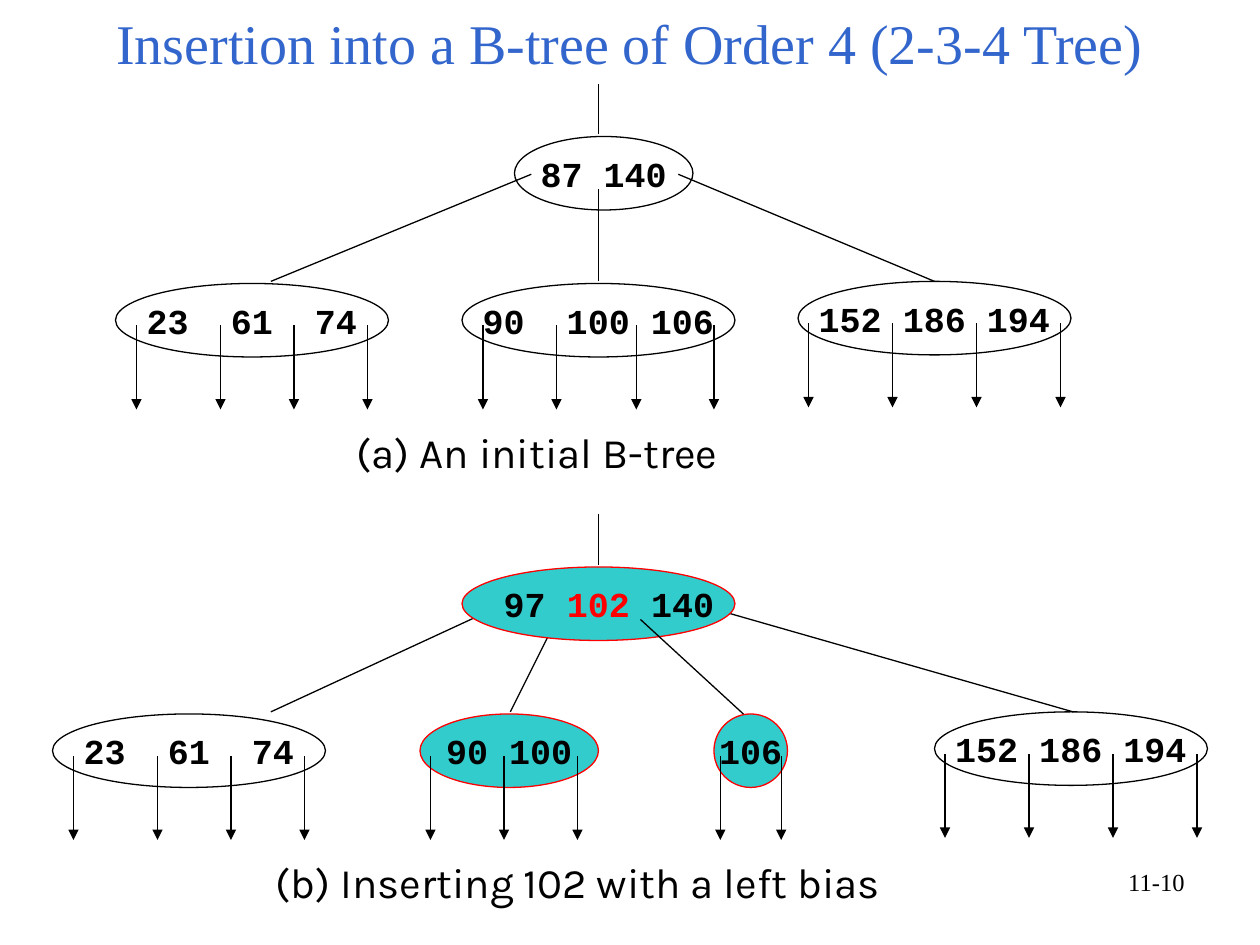
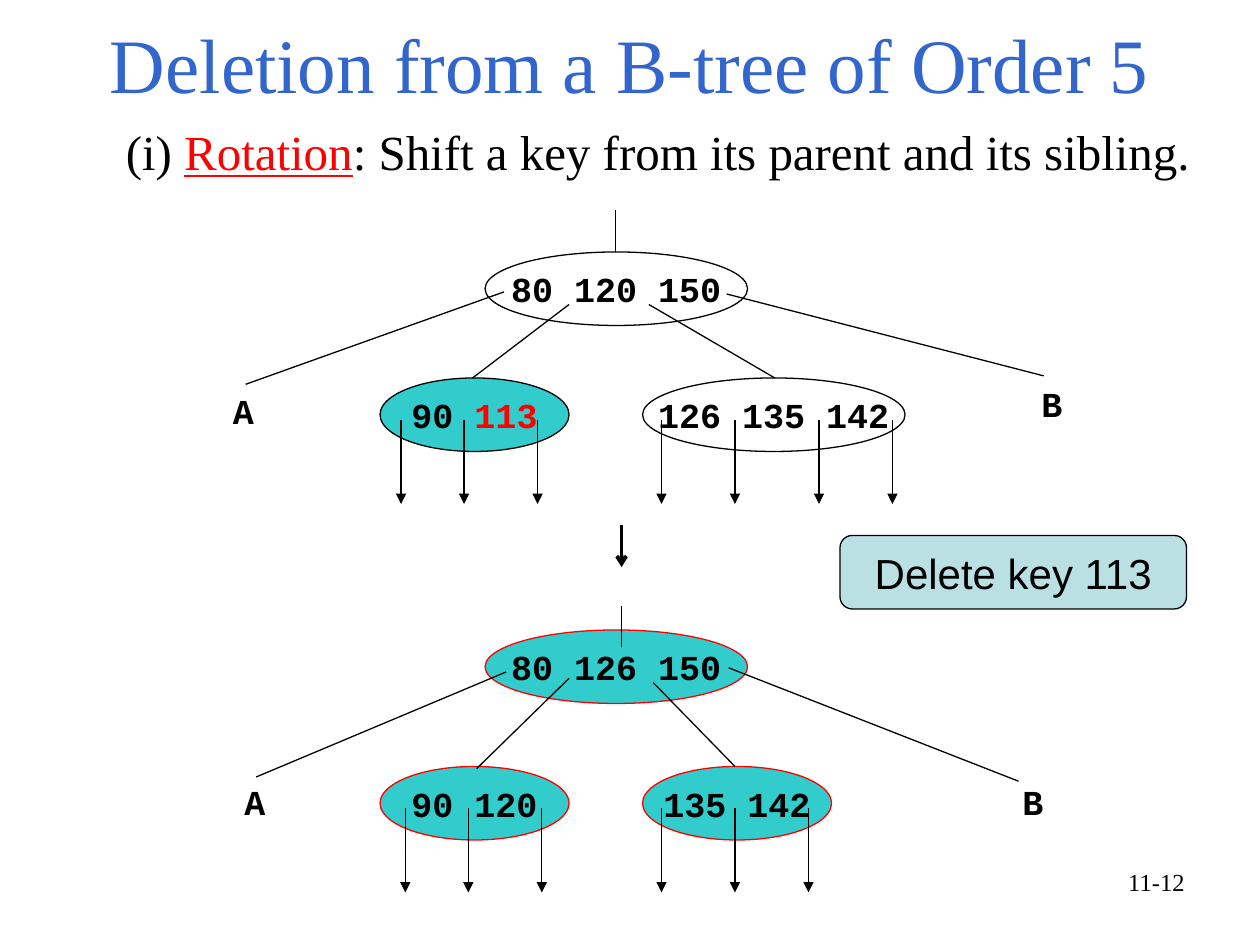
from lxml import etree
from pptx import Presentation
from pptx.dml.color import RGBColor
from pptx.enum.shapes import MSO_CONNECTOR, MSO_SHAPE
from pptx.enum.text import MSO_ANCHOR, PP_ALIGN
from pptx.oxml.ns import qn
from pptx.util import Inches, Pt

ELLIPSE, ROUNDED = MSO_SHAPE.OVAL, MSO_SHAPE.FLOWCHART_ALTERNATE_PROCESS
STRAIGHT = MSO_CONNECTOR.STRAIGHT
TOP, MIDDLE = MSO_ANCHOR.TOP, MSO_ANCHOR.MIDDLE
LEFT, CENTER, RIGHT = PP_ALIGN.LEFT, PP_ALIGN.CENTER, PP_ALIGN.RIGHT

WIDTH, HEIGHT = 10, 7.5
COLUMNS = 120
CELL = WIDTH / COLUMNS
NODE_HEIGHT, POINTER_START, POINTER_END = 7, 4, 12

BLACK, RED, BLUE, TEAL, PALE = "000000", "FF0000", "3366CC", "33CCCC", "BBE0E3"
PLAIN, CHANGED, TOUCHED = (None, BLACK), (TEAL, RED), (TEAL, BLACK)

SERIF, MONO, SANS = "Times New Roman", "Courier New", "Arial"
TITLE = dict(font=SERIF, color=BLUE, align=CENTER)
KEY = dict(font=MONO, size=20, bold=True)
CAPTION = dict(font="Karla", size=24, wrap=False)
LABEL = dict(KEY, wrap=False)
BODY = dict(font=SERIF, size=28, before=7, underline=True)
PAGE_NUMBER = dict(font=SERIF, size=14, align=RIGHT)
PAGE_NUMBER_BOX = (86, 82, 28, 6.2)

# node: keys, left, top, width, look, pointer columns; edge: from x, y, to x, y
INITIAL_TREE = dict(
    edges_behind=[(57, 12.8, 57, 8)],
    nodes=[
        ("87 140", 49, 13, 17, PLAIN, []),
        ("23  61  74", 11, 27, 26, PLAIN, [13, 21, 28, 35]),
        ("90  100 106", 44, 27, 26, PLAIN, [46, 53, 60.6, 68]),
        ("152 186 194", 76, 26.8, 26, PLAIN, [77, 85, 93, 101]),
    ],
    edges=[(57, 26.8, 57, 18), (50.6, 16.6, 25.8, 26.8), (64.6, 16.6, 89, 26.8)],
)
INSERTED_TREE = dict(
    edges_behind=[(57, 53.8, 57, 49), (48.6, 67.8, 53, 59),
                  (47, 58, 25.8, 67.8), (68, 58, 102.2, 67.8)],
    nodes=[
        (" 97 *102* 140", 44, 54, 26, CHANGED, []),
        ("23  61  74", 5, 68, 26, PLAIN, [7, 15, 22, 29]),
        ("90 100", 40, 68, 17, CHANGED, [41, 48, 55]),
        ("106", 68, 68, 7, CHANGED, [68.6, 74.4]),
        ("152 186 194", 89, 67.8, 26, PLAIN, [90, 98, 106, 114]),
    ],
    edges=[(61, 59, 70.8, 68)],
)
BEFORE_ROTATION = dict(
    edges_behind=[],
    nodes=[
        ("80 120 150", 46.2, 24, 25, PLAIN, []),
        ("90 *113*", 36.2, 36, 18, TOUCHED, [38.2, 44.2, 51.2]),
        ("126 135 142", 61.2, 36, 25, PLAIN, [63, 70, 78, 85]),
    ],
    edges=[(58.6, 24, 58.6, 20), (54.2, 29, 45, 36), (61.8, 29, 73.8, 36),
           (48, 27.8, 23.4, 36.6), (69.2, 28, 99.4, 35.8)],
)
AFTER_ROTATION = dict(
    edges_behind=[],
    nodes=[
        ("80 126 150", 46.2, 60, 25, CHANGED, []),
        ("90 120", 36.2, 73, 18, CHANGED, [38.6, 44.6, 51.6]),
        ("135 142", 61.2, 73, 18, CHANGED, [63, 70, 77]),
    ],
    edges=[(59.2, 61.6, 59.2, 57.7), (54.2, 64.6, 45.4, 73.2), (62.2, 65, 70, 73),
           (48.2, 64, 24.4, 74), (69.4, 63.6, 97, 74.4)],
)

SLIDES = [
    dict(
        trees=[INITIAL_TREE, INSERTED_TREE],
        texts=[
            ("Insertion into a B-tree of Order 4 (2-3-4 Tree)", (6, 0.2, 108, 10.2),
             dict(TITLE, size=32)),
            ("(a) An initial B-tree", (32.8, 40, 37, 6), CAPTION),
            ("(b) Inserting 102 with a left bias", (25.1, 81, 61.4, 6), CAPTION),
        ],
        buttons=[], steps=[], page="11-10",
    ),
    dict(
        trees=[BEFORE_ROTATION, AFTER_ROTATION],
        texts=[
            ("Deletion from a B-tree of Order 5", (6, 1, 108, 10),
             dict(TITLE, size=44, anchor=MIDDLE)),
            ("(i) *Rotation*: Shift a key from its parent and its sibling.",
             (10.8, 11, 104, 8), BODY),
            ("A", (21, 36.5, 4.3, 5.3), LABEL),
            ("B", (98, 35.8, 4.3, 5.3), LABEL),
            ("A", (22.1, 73.7, 4.3, 5.3), LABEL),
            ("B", (96.2, 73.7, 4.3, 5.3), LABEL),
        ],
        buttons=[("Delete key 113", (80, 51, 33, 7))],
        steps=[(59.2, 50, 59.2, 54)], page="11-12",
    ),
]


def rgb(value):
    return RGBColor.from_string(value)


def place(*cells):
    return [Inches(cell * CELL) for cell in cells]


def write(shape, text, font, size, color=BLACK, bold=False, align=LEFT,
          anchor=TOP, wrap=True, before=0, underline=False):
    frame = shape.text_frame
    frame.word_wrap = wrap
    frame.vertical_anchor = anchor
    paragraph = frame.paragraphs[0]
    paragraph.alignment = align
    paragraph.space_before = Pt(before)
    paragraph.font.name = font
    paragraph.font.size = Pt(size)
    paragraph.font.bold = bold
    for index, part in enumerate(text.split("*")):
        if part:
            accent = index % 2 == 1
            run = paragraph.add_run()
            run.text = part
            run.font.color.rgb = rgb(RED if accent else color)
            run.font.underline = accent and underline


def add_text(slide, text, box, style):
    write(slide.shapes.add_textbox(*place(*box)), text, **style)


def add_box(slide, kind, box, look, text, style):
    fill, outline = look
    shape = slide.shapes.add_shape(kind, *place(*box))
    shape.shadow.inherit = False
    if fill:
        shape.fill.solid()
        shape.fill.fore_color.rgb = rgb(fill)
    else:
        shape.fill.background()
    shape.line.color.rgb = rgb(outline)
    shape.line.width = Pt(0.75)
    write(shape, text, align=CENTER, anchor=MIDDLE, wrap=False, **style)


def add_line(slide, ends, head=None, width=0.75):
    connector = slide.shapes.add_connector(STRAIGHT, *place(*ends))
    connector.line.color.rgb = rgb(BLACK)
    connector.line.width = Pt(width)
    if head:
        etree.SubElement(connector.line._get_or_add_ln(), qn("a:tailEnd"), type=head)
    etree.SubElement(connector._element.spPr, qn("a:effectLst"))


def add_tree(slide, tree):
    for edge in tree["edges_behind"]:
        add_line(slide, edge)
    for keys, left, top, width, look, pointers in tree["nodes"]:
        add_box(slide, ELLIPSE, (left, top, width, NODE_HEIGHT), look, keys, KEY)
        for column in pointers:
            add_line(slide, (column, top + POINTER_START, column, top + POINTER_END),
                     "triangle")
    for edge in tree["edges"]:
        add_line(slide, edge)


def build_slide(presentation, content):
    slide = presentation.slides.add_slide(presentation.slide_layouts[6])
    for tree in content["trees"]:
        add_tree(slide, tree)
    for text, box, style in content["texts"]:
        add_text(slide, text, box, style)
    for text, box in content["buttons"]:
        add_box(slide, ROUNDED, box, (PALE, BLACK), text, dict(font=SANS, size=24))
    for step in content["steps"]:
        add_line(slide, step, "arrow", 2)
    add_text(slide, content["page"], PAGE_NUMBER_BOX, PAGE_NUMBER)


def main():
    presentation = Presentation()
    presentation.slide_width = Inches(WIDTH)
    presentation.slide_height = Inches(HEIGHT)
    for content in SLIDES:
        build_slide(presentation, content)
    presentation.save("out.pptx")


if __name__ == "__main__":
    main()
